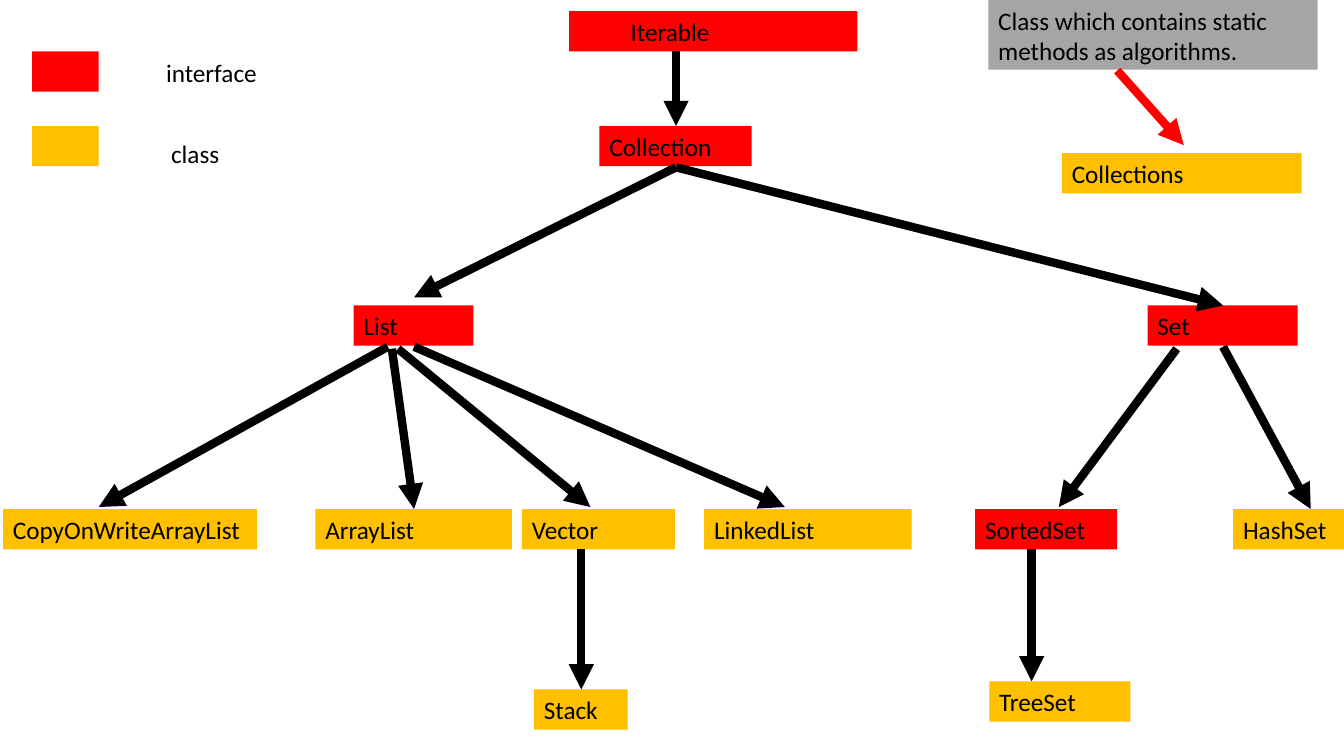
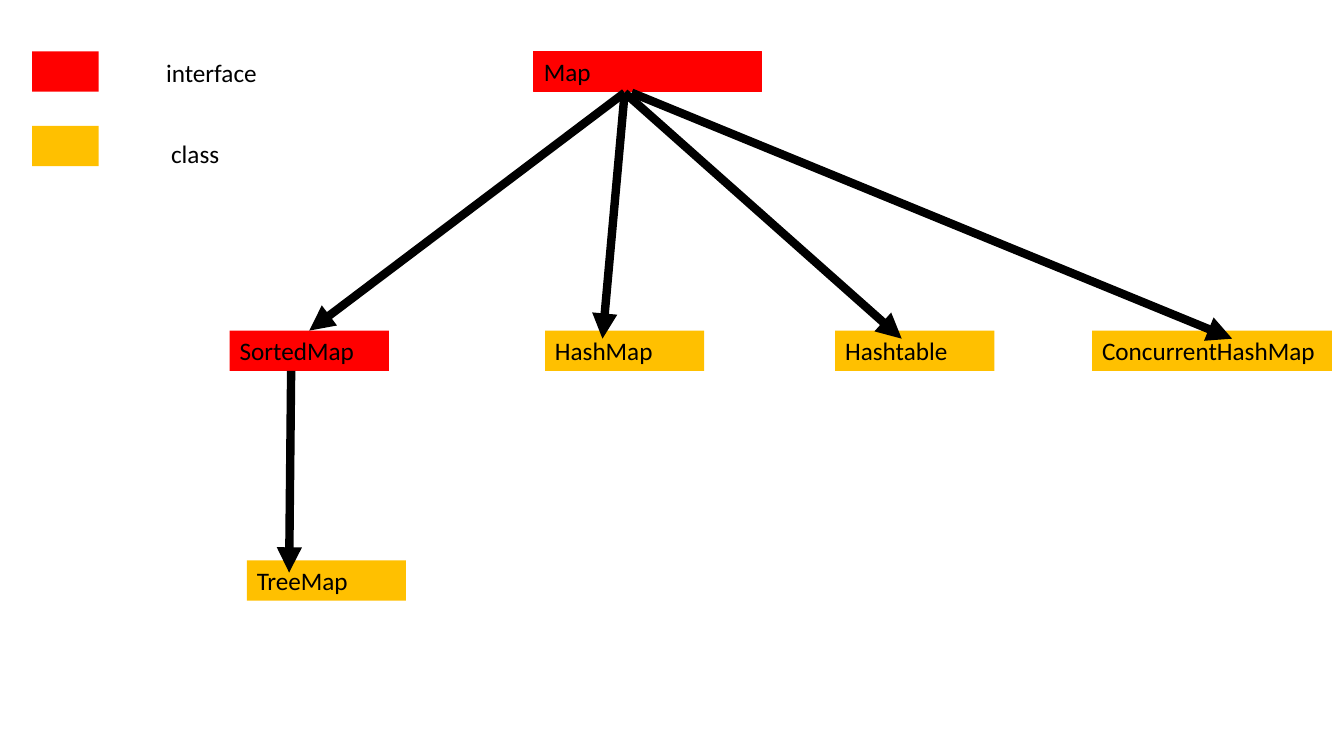
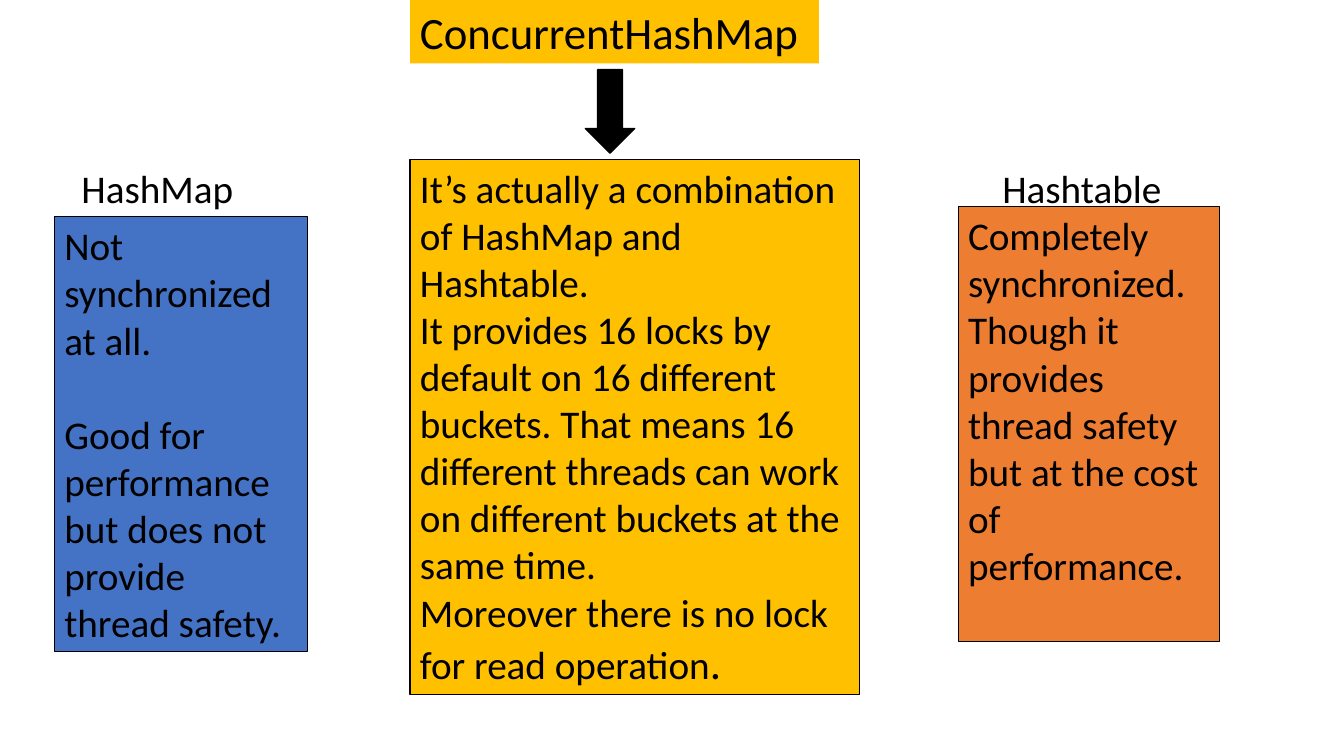
import pptx
import pptx.dml.color
import pptx.enum.shapes
import pptx.enum.text
import pptx.oxml.ns
import pptx.util
import lxml.etree

COLORS = {
    "interface": "FF0000",
    "class": "FFC000",
    "note": "A5A5A5",
    "unsafe": "4472C4",
    "safe": "ED7D31",
    "ink": "000000",
}
COLS, ROWS = 133.4, 75
BOX_H = 4
ARROW_W = 6
SHAPES = pptx.enum.shapes.MSO_SHAPE


class Deck:
    font = "Calibri"

    def __init__(self):
        self.prs = pptx.Presentation()
        self.prs.slide_width = pptx.util.Inches(13.34)
        self.prs.slide_height = pptx.util.Inches(7.5)
        self.s = None

    def slide(self):
        self.s = self.prs.slides.add_slide(self.prs.slide_layouts[6])

    def x(self, cols):
        return round(self.prs.slide_width * cols / COLS)

    def y(self, rows):
        return round(self.prs.slide_height * rows / ROWS)

    def place(self, left, top, width, height):
        return self.x(left), self.y(top), self.x(width), self.y(height)

    def color(self, name):
        return pptx.dml.color.RGBColor.from_string(COLORS[name])

    def fill_text(self, sp, text, size, indent=0, gap=0):
        tf = sp.text_frame
        tf.word_wrap = True
        tf.auto_size = pptx.enum.text.MSO_AUTO_SIZE.NONE
        tf.vertical_anchor = pptx.enum.text.MSO_ANCHOR.TOP
        tf.margin_left = self.x(1 + indent)
        tf.margin_right = self.x(1)
        tf.margin_top = tf.margin_bottom = self.y(0.5)
        tf.text = text
        for i, p in enumerate(tf.paragraphs):
            p.alignment = pptx.enum.text.PP_ALIGN.LEFT
            if i and gap:
                p.space_before = pptx.util.Pt(gap)
            for r in p.runs:
                self.style(r, size)

    def style(self, r, size):
        r.font.name = self.font
        r.font.size = pptx.util.Pt(size)
        r.font.color.rgb = self.color("ink")

    def shape(self, kind, at, fill, line=None, weight=0.75):
        sp = self.s.shapes.add_shape(kind, *self.place(*at))
        sp.shadow.inherit = False
        sp.fill.solid()
        sp.fill.fore_color.rgb = self.color(fill)
        if line:
            sp.line.color.rgb = self.color(line)
            sp.line.width = pptx.util.Pt(weight)
        else:
            sp.line.fill.background()
        return sp

    def box(self, text, at, fill, size=18, line=None, **layout):
        sp = self.shape(SHAPES.RECTANGLE, at, fill, line)
        self.fill_text(sp, text, size, **layout)
        return sp

    def row(self, top, boxes):
        for text, left, width, fill in boxes:
            self.box(text, (left, top, width, BOX_H), fill)

    def label(self, text, at, size=18):
        self.fill_text(self.s.shapes.add_textbox(*self.place(*at)), text, size)

    def arrow(self, start, end, color="ink"):
        cx = self.s.shapes.add_connector(
            pptx.enum.shapes.MSO_CONNECTOR.STRAIGHT,
            self.x(start[0]), self.y(start[1]), self.x(end[0]), self.y(end[1]))
        cx.line.color.rgb = self.color(color)
        cx.line.width = pptx.util.Pt(ARROW_W)
        ln = cx._element.spPr.find(pptx.oxml.ns.qn("a:ln"))
        lxml.etree.SubElement(ln, pptx.oxml.ns.qn("a:tailEnd"), type="triangle")
        lxml.etree.SubElement(cx._element.spPr, pptx.oxml.ns.qn("a:effectLst"))

    def arrows(self, pairs):
        for start, end in pairs:
            self.arrow(start, end)

    def legend(self):
        for kind, top, at in (("interface", 5.1, (15.5, 5.2, 12.4, BOX_H)),
                              ("class", 12.5, (16, 13.2, 10, BOX_H))):
            self.shape(SHAPES.RECTANGLE, (3.2, top, 6.6, BOX_H), kind)
            self.label(kind, at)


def collection_slide(deck):
    deck.slide()
    deck.legend()
    deck.box("Iterable", (56.5, 1.1, 28.6, BOX_H), "interface", indent=5.1)
    deck.row(12.5, [("Collection", 59.5, 15.1, "interface")])
    deck.row(15.2, [("Collections", 105.4, 23.8, "class")])
    deck.row(30.3, [("List", 35.1, 11.9, "interface"),
                    ("Set", 113.9, 14.9, "interface")])
    deck.row(50.5, [("CopyOnWriteArrayList", 0.3, 25.2, "class"),
                    ("ArrayList", 31.3, 19.5, "class"),
                    ("Vector", 51.8, 15.2, "class"),
                    ("LinkedList", 69.9, 20.6, "class"),
                    ("SortedSet", 96.8, 14.1, "interface"),
                    ("HashSet", 122.4, 11, "class")])
    deck.row(67.6, [("TreeSet", 98.2, 14, "class")])
    deck.row(68.4, [("Stack", 53, 9.3, "class")])
    deck.box("Class which contains static methods as algorithms.",
             (98.1, 0, 32.7, 6.9), "note")
    root = (67.1, 16.6)
    deck.arrows([
        ((67.1, 5.1), (67.1, 12.5)),
        (root, (41.1, 29.5)),
        (root, (121.4, 30.3)),
        ((38.5, 34.4), (9.8, 50.3)),
        ((38.9, 34.6), (41.1, 50.5)),
        ((39.5, 34.6), (58.6, 50.3)),
        ((41.1, 34.4), (77.9, 50.3)),
        ((116.8, 34.6), (105.1, 50.3)),
        ((121.4, 34.4), (130.1, 50.5)),
        ((102.4, 54.5), (102.4, 67.6)),
        ((57.7, 54.5), (57.7, 68.4)),
    ])
    deck.arrow((110.9, 7), (117.5, 14.4), "interface")


def map_slide(deck):
    deck.slide()
    deck.legend()
    deck.box("Map", (53, 5.1, 22.6, BOX_H), "interface", line="interface")
    deck.row(32.8, [("SortedMap", 22.8, 15.8, "interface"),
                    ("HashMap", 54.1, 15.8, "class"),
                    ("Hashtable", 82.9, 15.8, "class"),
                    ("ConcurrentHashMap", 108.4, 23.8, "class")])
    deck.row(55.6, [("TreeMap", 24.5, 15.8, "class")])
    root = (62, 9.2)
    deck.arrows([
        (root, (30.7, 32.8)),
        (root, (59.8, 33.6)),
        (root, (89.5, 33.6)),
        ((62.7, 9.2), (122.3, 33.6)),
        ((28.9, 36.8), (28.7, 56.8)),
    ])


def comparison_slide(deck):
    deck.slide()
    deck.box("ConcurrentHashMap", (40.7, 0, 40.6, 6.3), "class", size=32)
    deck.box("Not synchronized at all.\n"
             "Good for performance but does not provide thread safety.",
             (5.4, 21.5, 25.1, 43.1), "unsafe", size=28, line="ink", gap=34)
    deck.box("Completely synchronized.\n"
             "Though it provides thread safety but at the cost of performance.",
             (95.1, 20.5, 25.9, 43.1), "safe", size=28, line="ink")
    deck.label("HashMap", (7.1, 15.8, 21.7, 5.7), 28)
    deck.label("Hashtable", (98.5, 15.8, 22.5, 5.7), 28)
    sp = deck.box("It’s actually a combination of HashMap and Hashtable.\n"
                  "It provides 16 locks by default on 16 different buckets. "
                  "That means 16 different threads can work on different "
                  "buckets at the same time.\n"
                  "Moreover there is no lock for read operation",
                  (40.7, 15.8, 44.6, 53.1), "class", size=28, line="ink")
    r = sp.text_frame.paragraphs[-1].add_run()
    r.text = "."
    deck.style(r, 32)
    deck.shape(SHAPES.DOWN_ARROW, (58.1, 6.9, 4.9, 8.3), "ink", "ink", 1)


def main():
    deck = Deck()
    collection_slide(deck)
    map_slide(deck)
    comparison_slide(deck)
    deck.prs.save("out.pptx")


if __name__ == "__main__":
    main()
